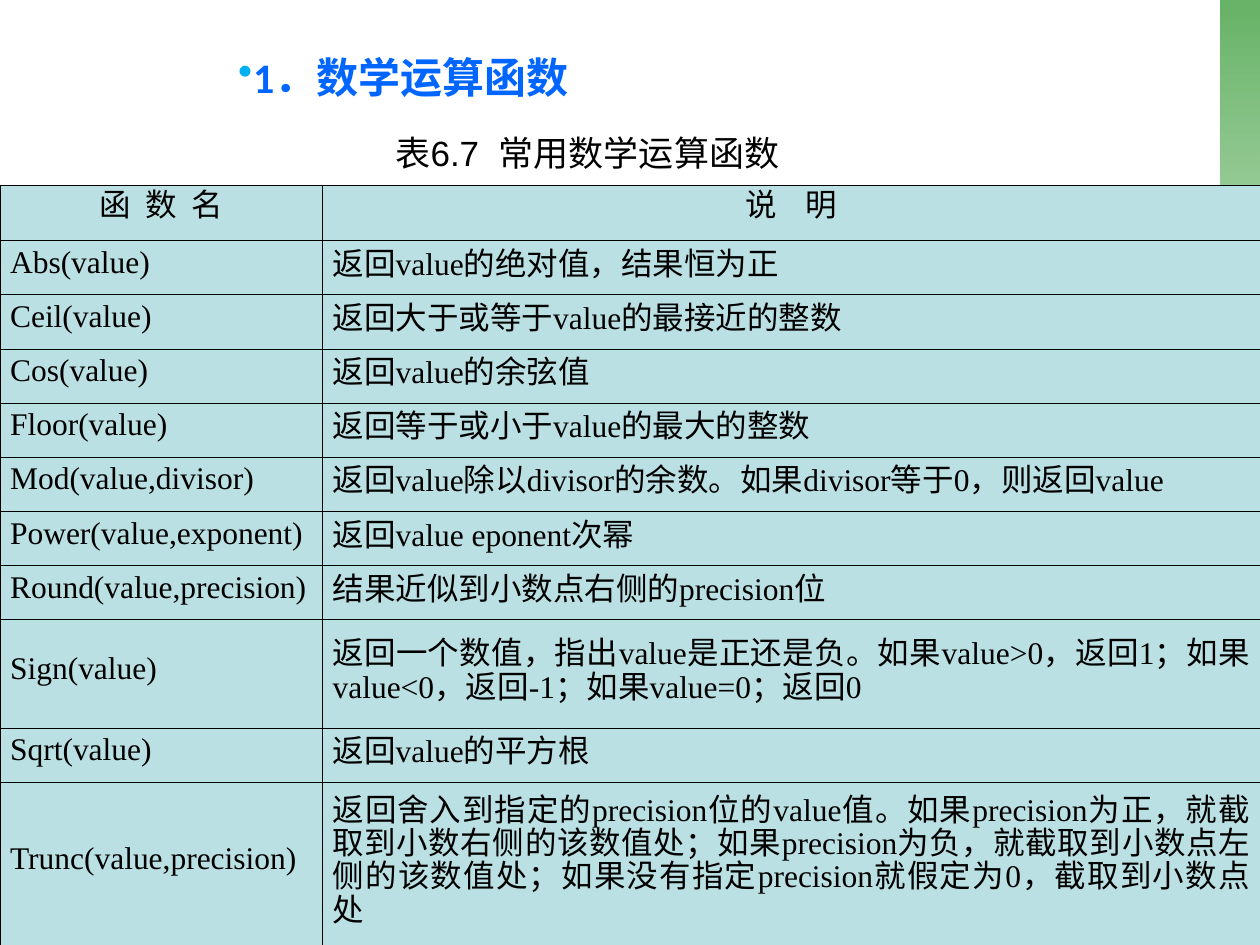
from pptx import Presentation
from pptx.dml.color import RGBColor
from pptx.enum.shapes import MSO_SHAPE
from pptx.enum.text import MSO_ANCHOR, MSO_AUTO_SIZE, PP_ALIGN
from pptx.oxml import parse_xml
from pptx.oxml.ns import nsdecls, qn
from pptx.util import Pt
from lxml import etree

RECT = MSO_SHAPE.RECTANGLE
TOP, MIDDLE = MSO_ANCHOR.TOP, MSO_ANCHOR.MIDDLE
LEFT, CENTER, JUSTIFY = PP_ALIGN.LEFT, PP_ALIGN.CENTER, PP_ALIGN.JUSTIFY
GROW = MSO_AUTO_SIZE.SHAPE_TO_FIT_TEXT

TITLE = "1．数学运算函数"
CAPTION = "表6.7  常用数学运算函数"
HEAD = ("函  数  名", "说    明")
ITEMS = [
    ("Abs(value)", "返回value的绝对值，结果恒为正"),
    ("Ceil(value)", "返回大于或等于value的最接近的整数"),
    ("Cos(value)", "返回value的余弦值"),
    ("Floor(value)", "返回等于或小于value的最大的整数"),
    ("Mod(value,divisor)", "返回value除以divisor的余数。如果divisor等于0，则返回value"),
    ("Power(value,exponent)", "返回value eponent次幂"),
    ("Round(value,precision)", "结果近似到小数点右侧的precision位"),
    ("Sign(value)", "返回一个数值，指出value是正还是负。如果value>0，返回1；"
                    "如果value<0，返回-1；如果value=0；返回0"),
    ("Sqrt(value)", "返回value的平方根"),
    ("Trunc(value,precision)", "返回舍入到指定的precision位的value值。如果precision为正，"
                               "就截取到小数右侧的该数值处；如果precision为负，"
                               "就截取到小数点左侧的该数值处；"
                               "如果没有指定precision就假定为0，截取到小数点处"),
]
LINE = 30.96
ROWS = [31.68] + [LINE] * 7 + [2 * LINE, LINE, 3 * LINE]


def color(code):
    return RGBColor.from_string(code)


def write(frame, text, size=18, font="Times New Roman", ink="000000",
          bold=False, align=LEFT, space=None, bullet=None, indent=0):
    para = frame.paragraphs[0]
    para.text = text
    para.alignment = align
    if space:
        para.line_spacing = Pt(space)
    if bullet:
        props = para._p.get_or_add_pPr()
        props.set("marL", "0")
        props.set("indent", str(Pt(indent)))
        tint = etree.SubElement(props, qn("a:buClr"))
        etree.SubElement(tint, qn("a:srgbClr"), val=bullet)
        etree.SubElement(props, qn("a:buChar"), char="•")
    face = para.runs[0].font
    face.size = Pt(size)
    face.name = font
    face.bold = bold
    face.color.rgb = color(ink)


class Page:
    fill = "BBE0E3"
    edge = "000000"
    width = 0.45
    pad = 5.76

    def __init__(self, slide):
        self.slide = slide

    def bar(self, *box):
        shape = self.slide.shapes.add_shape(RECT, *map(Pt, box))
        shape.shadow.inherit = False
        shape.line.fill.background()
        shape.fill.gradient()
        shape.fill.gradient_angle = 270
        stops = shape.fill.gradient_stops
        for stop, tone, place in zip(stops, ("339933", "FFFFFF"), (0, 1)):
            stop.color.rgb = color(tone)
            stop.position = place
        tones = shape._element.spPr.iter(qn("a:srgbClr"))
        for tone, alpha in zip(tones, ("75000", "37000")):
            etree.SubElement(tone, qn("a:alpha"), val=alpha)

    def title(self, text, *box):
        shape = self.slide.shapes.title
        shape.left, shape.top, shape.width, shape.height = map(Pt, box)
        frame = shape.text_frame
        frame.vertical_anchor = TOP
        frame.word_wrap = True
        frame.auto_size = GROW
        write(frame, text, size=24, font="Calibri", ink="0066FF", bold=True,
              bullet="00B0F0", indent=35.28)

    def label(self, text, *box):
        frame = self.slide.shapes.add_textbox(*map(Pt, box)).text_frame
        frame.vertical_anchor = MIDDLE
        frame.word_wrap = False
        frame.auto_size = GROW
        write(frame, text, size=20, font="Arial")

    def cell(self, cell, text, align, space):
        cell.vertical_anchor = MIDDLE
        cell.margin_left = cell.margin_right = Pt(self.pad)
        cell.margin_top = cell.margin_bottom = Pt(3.6)
        props = cell._tc.get_or_add_tcPr()
        for side in "LRTB":
            props.append(parse_xml(
                f'<a:ln{side} {nsdecls("a")} w="{Pt(self.width)}"><a:solidFill>'
                f'<a:srgbClr val="{self.edge}"/></a:solidFill></a:ln{side}>'))
        cell.fill.solid()
        cell.fill.fore_color.rgb = color(self.fill)
        write(cell.text_frame, text, align=align, space=space)

    def table(self, data, cols, rows, left, top):
        box = map(Pt, (left, top, sum(cols), sum(rows)))
        table = self.slide.shapes.add_table(len(rows), len(cols), *box).table
        for col, width in zip(table.columns, cols):
            col.width = Pt(width)
        for r, (texts, height) in enumerate(zip(data, rows)):
            table.rows[r].height = Pt(height)
            for c, text in enumerate(texts):
                align = JUSTIFY if r else CENTER
                space = 19 if r and c else 14
                self.cell(table.cell(r, c), text, align, space)


def main():
    deck = Presentation()
    deck.slide_width, deck.slide_height = Pt(720), Pt(540)
    page = Page(deck.slides.add_slide(deck.slide_layouts[5]))
    page.bar(697.68, 0, 22.32, 487.44)
    page.title(TITLE, 93.6, 25.92, 581.04, 36)
    page.label(CAPTION, 218.88, 71.28, 243.36, 31.68)
    page.table([HEAD] + ITEMS, (184.32, 535.68), ROWS, 0, 105.84)
    deck.save("out.pptx")


if __name__ == "__main__":
    main()
